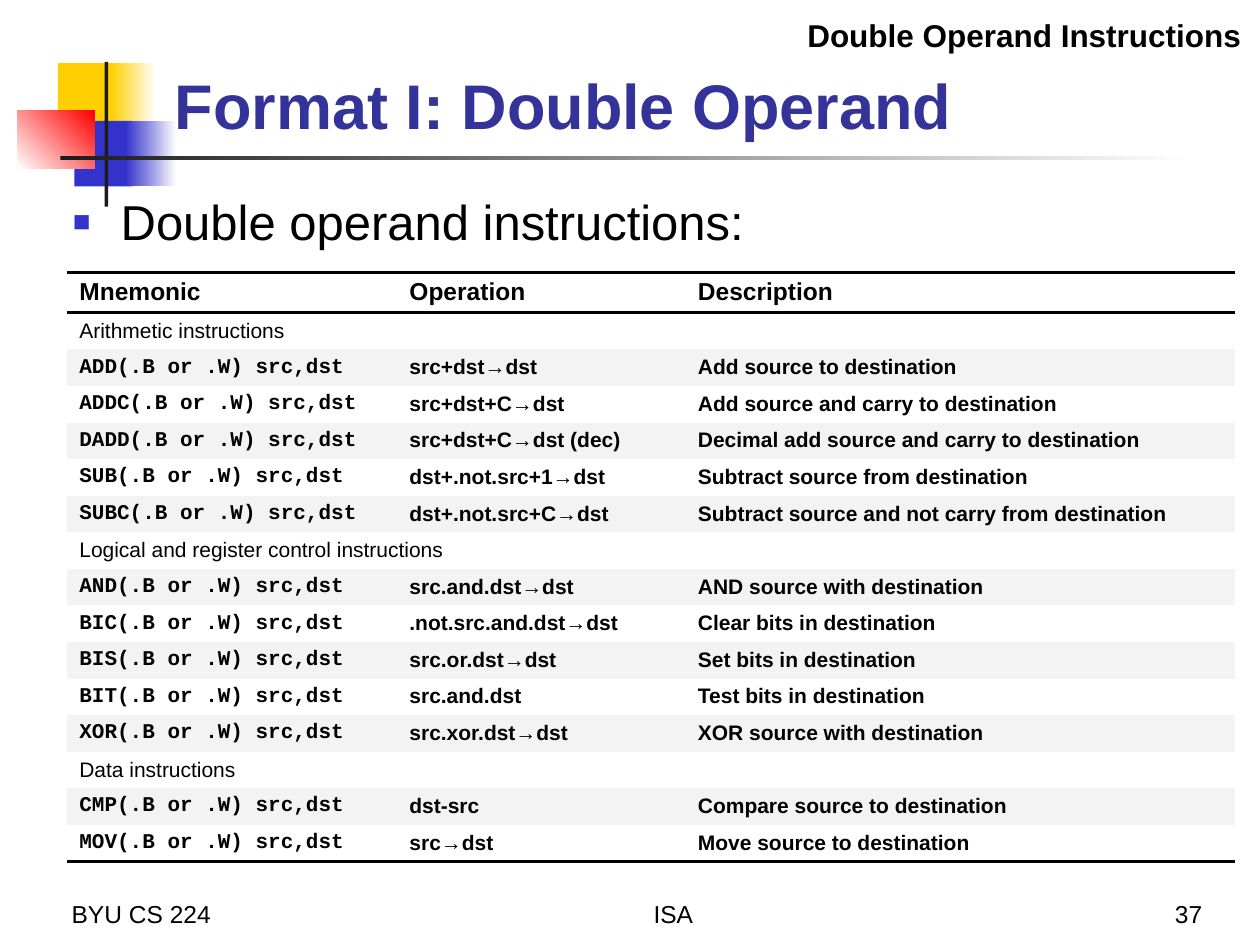
from lxml.etree import SubElement
from pptx import Presentation
from pptx.dml.color import RGBColor
from pptx.enum.shapes import MSO_SHAPE
from pptx.enum.text import MSO_ANCHOR, PP_ALIGN
from pptx.oxml.ns import qn
from pptx.util import Inches, Pt

BLACK, WHITE, BAND = "000000", "FFFFFF", "F3F3F3"
YELLOW, BLUE, RED, DARK, NAVY = "FFCF01", "3333CC", "FF0000", "1C1C1C", "333399"

HEADINGS = ("Mnemonic", "Operation", "Description")
COLUMN_WIDTHS = (2.62, 2.29, 4.36)
SECTIONS = (
    ("Arithmetic instructions", (
        ("ADD", "src+dst→dst", "Add source to destination"),
        ("ADDC", "src+dst+C→dst", "Add source and carry to destination"),
        ("DADD", "src+dst+C→dst (dec)", "Decimal add source and carry to destination"),
        ("SUB", "dst+.not.src+1→dst", "Subtract source from destination"),
        ("SUBC", "dst+.not.src+C→dst", "Subtract source and not carry from destination"),
    )),
    ("Logical and register control instructions", (
        ("AND", "src.and.dst→dst", "AND source with destination"),
        ("BIC", ".not.src.and.dst→dst", "Clear bits in destination"),
        ("BIS", "src.or.dst→dst", "Set bits in destination"),
        ("BIT", "src.and.dst", "Test bits in destination"),
        ("XOR", "src.xor.dst→dst", "XOR source with destination"),
    )),
    ("Data instructions", (
        ("CMP", "dst-src", "Compare source to destination"),
        ("MOV", "src→dst", "Move source to destination"),
    )),
)


def color(value):
    return RGBColor.from_string(value)


def add_run(paragraph, text, size, bold=False, font="Arial", ink=BLACK):
    run = paragraph.add_run()
    run.text = text
    run.font.name = font
    run.font.size = Pt(size)
    run.font.bold = bold
    run.font.color.rgb = color(ink)


def set_hanging_indent(paragraph):
    properties = paragraph._p.get_or_add_pPr()
    properties.set("marL", str(Inches(0.38)))
    properties.set("indent", str(Inches(-0.38)))
    return properties


def add_text(slide, box, text, size, align=PP_ALIGN.LEFT, anchor=MSO_ANCHOR.TOP, **style):
    frame = slide.shapes.add_textbox(*map(Inches, box)).text_frame
    frame.word_wrap = True
    frame.vertical_anchor = anchor
    paragraph = frame.paragraphs[0]
    paragraph.alignment = align
    add_run(paragraph, text, size, **style)
    return paragraph


def add_block(slide, box, start, end=None, angle=0):
    shape = slide.shapes.add_shape(MSO_SHAPE.RECTANGLE, *map(Inches, box))
    shape.shadow.inherit = False
    shape.line.fill.background()
    if end is None:
        shape.fill.solid()
        shape.fill.fore_color.rgb = color(start)
        return
    shape.fill.gradient()
    shape.fill.gradient_angle = angle
    for stop, position, value in zip(shape.fill.gradient_stops, (0, 1), (start, end)):
        stop.position = position
        stop.color.rgb = color(value)


def add_ornament(slide, left, top):
    def place(x, y, width, height, *fill):
        add_block(slide, (left + x, top + y, width, height), *fill)

    place(0.32, 0.01, 0.48, 0.52, YELLOW)
    place(0.74, 0.01, 0.36, 0.52, YELLOW, WHITE)
    place(0.45, 0.47, 0.46, 0.52, BLUE)
    place(0.86, 0.47, 0.4, 0.52, BLUE, WHITE)
    place(0, 0.39, 0.61, 0.46, WHITE, RED, 45)
    place(0.69, 0, 0.03, 1.15, DARK)
    place(0.34, 0.75, 9, 0.03, DARK, WHITE)


def add_bullet(slide, box, text):
    paragraph = add_text(slide, box, text, 28)
    paragraph.space_before = Pt(4)
    properties = set_hanging_indent(paragraph)
    bullet_color = SubElement(properties, qn("a:buClr"))
    SubElement(bullet_color, qn("a:srgbClr"), val=BLUE)
    SubElement(properties, qn("a:buSzPct"), val="60000")
    SubElement(properties, qn("a:buFont"), typeface="Arial")
    SubElement(properties, qn("a:buChar"), char="■")


def set_borders(cell, top, bottom):
    properties = cell._tc.get_or_add_tcPr()
    for side, visible in (("L", False), ("R", False), ("T", top), ("B", bottom)):
        line = SubElement(properties, qn(f"a:ln{side}"), w=str(Pt(2) if visible else 0))
        if visible:
            fill = SubElement(line, qn("a:solidFill"))
            SubElement(fill, qn("a:srgbClr"), val=BLACK)
        else:
            SubElement(line, qn("a:noFill"))


def fill_cell(cell, text, size, align, **style):
    cell.margin_top = Inches(0.05)
    cell.margin_bottom = Inches(0.04)
    paragraph = cell.text_frame.paragraphs[0]
    paragraph.alignment = align
    set_hanging_indent(paragraph)
    add_run(paragraph, text, size, **style)


def add_instruction_table(slide, left, top, width, height):
    rows = [HEADINGS]
    for section, instructions in SECTIONS:
        rows.append((section,))
        rows += [(f"{name}(.B or .W) src,dst", *rest) for name, *rest in instructions]
    last = len(rows) - 1
    header_height = 0.32
    row_height = (height - header_height) / last

    table = slide.shapes.add_table(
        len(rows), len(HEADINGS), *map(Inches, (left, top, width, height))).table
    table.first_row = table.horz_banding = False
    for column, column_width in zip(table.columns, COLUMN_WIDTHS):
        column.width = Inches(column_width)

    for number, texts in enumerate(rows):
        table.rows[number].height = Inches(row_height if number else header_height)
        cells = list(table.rows[number].cells)
        for cell in cells:
            set_borders(cell, top=number < 2, bottom=number in (0, last))
            cell.fill.solid()
            cell.fill.fore_color.rgb = color(BAND if number and number % 2 == 0 else WHITE)
        is_section = len(texts) == 1
        if is_section:
            cells[0].merge(cells[-1])
        for index, (cell, text) in enumerate(zip(cells, texts)):
            is_code = number and index == 0 and not is_section
            fill_cell(cell, text, 12 if number else 14,
                      PP_ALIGN.LEFT if index == 2 or is_section else PP_ALIGN.JUSTIFY,
                      bold=not is_section, font="Courier New" if is_code else "Arial")


def add_footer(slide, top, height):
    for left, width, text, align in (
        (0.47, 2.08, "BYU CS 224", PP_ALIGN.LEFT),
        (2.78, 5.13, "ISA", PP_ALIGN.CENTER),
        (7.56, 2.08, "37", PP_ALIGN.RIGHT),
    ):
        add_text(slide, (left, top, width, height), text, 14, align, MSO_ANCHOR.BOTTOM)


def main():
    presentation = Presentation()
    presentation.slide_width = Inches(10)
    presentation.slide_height = Inches(7.5)
    slide = presentation.slides.add_slide(presentation.slide_layouts[6])
    add_ornament(slide, 0.14, 0.49)
    add_text(slide, (1.29, 0.23, 8.52, 0.95), "Format I: Double Operand", 36,
             anchor=MSO_ANCHOR.BOTTOM, bold=True, ink=NAVY)
    add_bullet(slide, (0.48, 1.47, 9.1, 0.67), "Double operand instructions:")
    add_instruction_table(slide, 0.53, 2.16, 9.27, 4.64)
    add_text(slide, (5.93, 0.08, 4.02, 0.4), "Double Operand Instructions", 18,
             PP_ALIGN.RIGHT, bold=True)
    add_footer(slide, 6.92, 0.5)
    presentation.save("out.pptx")


if __name__ == "__main__":
    main()
